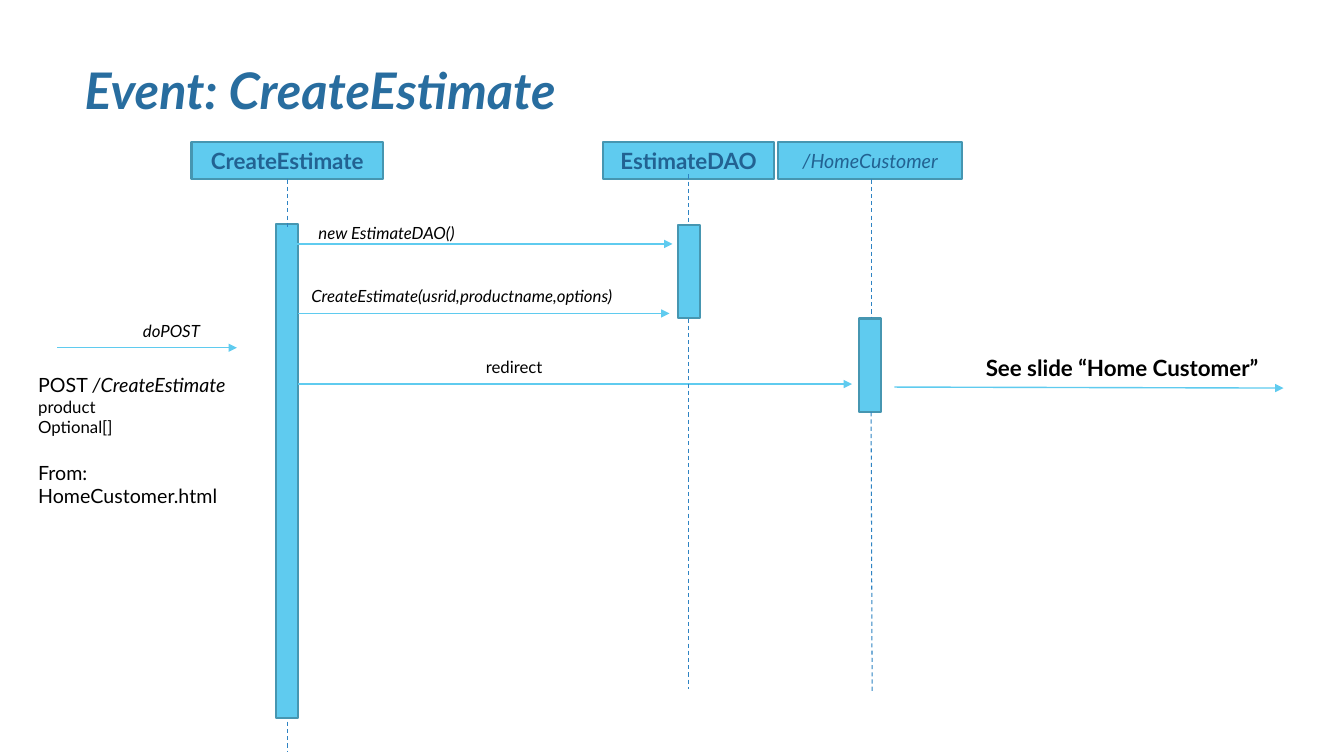
from lxml.etree import SubElement
from pptx import Presentation
from pptx.dml.color import RGBColor
from pptx.enum.dml import MSO_LINE
from pptx.enum.shapes import MSO_CONNECTOR, MSO_SHAPE
from pptx.enum.text import MSO_ANCHOR, MSO_AUTO_SIZE, PP_ALIGN
from pptx.oxml.ns import qn
from pptx.util import Pt

PX = 9144
FONT = "Lato"
SKY, EDGE, BLUE, NAVY, BLACK = "5FCBEF", "4696B1", "2E83C3", "226292", "000000"


def color(value):
    return RGBColor.from_string(value)


def style(paragraph, size, ink=BLACK, bold=False, italic=False):
    font = paragraph.font
    font.name, font.size, font.bold, font.italic = FONT, Pt(size), bold, italic
    font.color.rgb = color(ink)


presentation = Presentation()
presentation.slide_width, presentation.slide_height = 1333 * PX, 750 * PX
slide = presentation.slides.add_slide(presentation.slide_layouts[6])
shapes = slide.shapes

participants = [
    (190, 190, "CreateEstimate", 16, True),
    (598, 170, "EstimateDAO", 16, True),
    (772, 182, "/HomeCustomer", 14, False),
]
headers = [(left, 141, width, 37, text, size, bold)
           for left, width, text, size, bold in participants]
activations = [(left, top, 22, height, "", 16, False)
               for left, top, height in [(274, 222, 490), (672, 223, 93), (852, 316, 93)]]
for left, top, width, height, text, size, bold in headers + activations:
    shape = shapes.add_shape(MSO_SHAPE.RECTANGLE, left * PX, top * PX, width * PX, height * PX)
    shape.shadow.inherit = False
    shape.fill.solid()
    shape.fill.fore_color.rgb = color(SKY)
    shape.line.color.rgb = color(EDGE)
    shape.line.width = Pt(1.5)
    if text:
        shape.text_frame.vertical_anchor = MSO_ANCHOR.MIDDLE
        paragraph = shape.text_frame.paragraphs[0]
        paragraph.text = text
        paragraph.alignment = PP_ALIGN.CENTER
        style(paragraph, size, NAVY, bold, not bold)

messages = [
    (296, 311, 664, 311),
    (296, 381, 845, 381),
    (280, 242, 667, 242),
    (887, 384, 1273, 385),
    (57, 345, 235, 345),
]
lifelines = [
    (864, 178, 864, 315),
    (864, 409, 865, 687),
    (683, 173, 683, 221),
    (683, 316, 683, 684),
    (285, 178, 285, 225),
    (285, 716, 285, 745),
]
for points in messages + lifelines:
    connector = shapes.add_connector(MSO_CONNECTOR.STRAIGHT, *[point * PX for point in points])
    SubElement(connector._element.spPr, qn("a:effectLst"))
    line = connector.line
    if points in messages:
        line.color.rgb = color(SKY)
        line.width = Pt(1)
        SubElement(line._get_or_add_ln(), qn("a:tailEnd"), type="triangle")
    else:
        line.color.rgb = color(BLUE)
        line.width = Pt(0.75)
        line.dash_style = MSO_LINE.DASH

labels = [
    (74, 52, 672, 74, "Event: CreateEstimate", 36, "286D9F", True, True),
    (299, 279, 373, 30, "CreateEstimate(usrid,productname,options)", 12, BLACK, False, True),
    (472, 349, 103, 30, "redirect", 12, BLACK, False, False),
    (306, 216, 373, 30, "new EstimateDAO()", 12, BLACK, False, True),
    (956, 346, 314, 37, "See slide “Home Customer”", 16, BLACK, True, False),
    (132, 313, 90, 30, "doPOST", 12, BLACK, False, True),
]
for left, top, width, height, text, size, ink, bold, italic in labels:
    label = shapes.add_textbox(left * PX, top * PX, width * PX, height * PX)
    frame = label.text_frame
    frame.word_wrap = True
    frame.vertical_anchor = MSO_ANCHOR.MIDDLE if size == 36 else MSO_ANCHOR.TOP
    paragraph = frame.paragraphs[0]
    paragraph.text = text
    style(paragraph, size, ink, bold, italic)
    if size == 16:
        frame.word_wrap = False
        paragraph.alignment = PP_ALIGN.CENTER

request = shapes.add_textbox(28 * PX, 365 * PX, 218 * PX, 145 * PX)
frame = request.text_frame
frame.word_wrap = True
frame.auto_size = MSO_AUTO_SIZE.SHAPE_TO_FIT_TEXT
frame.text = "POST \nproduct\nOptional[]\nFrom: HomeCustomer.html"
for paragraph, size in zip(frame.paragraphs, [14, 12, 12, 14]):
    style(paragraph, size)
endpoint = frame.paragraphs[0].add_run()
endpoint.text = "/CreateEstimate"
endpoint.font.italic = True
frame.paragraphs[3].space_before = Pt(17)

presentation.save("out.pptx")
